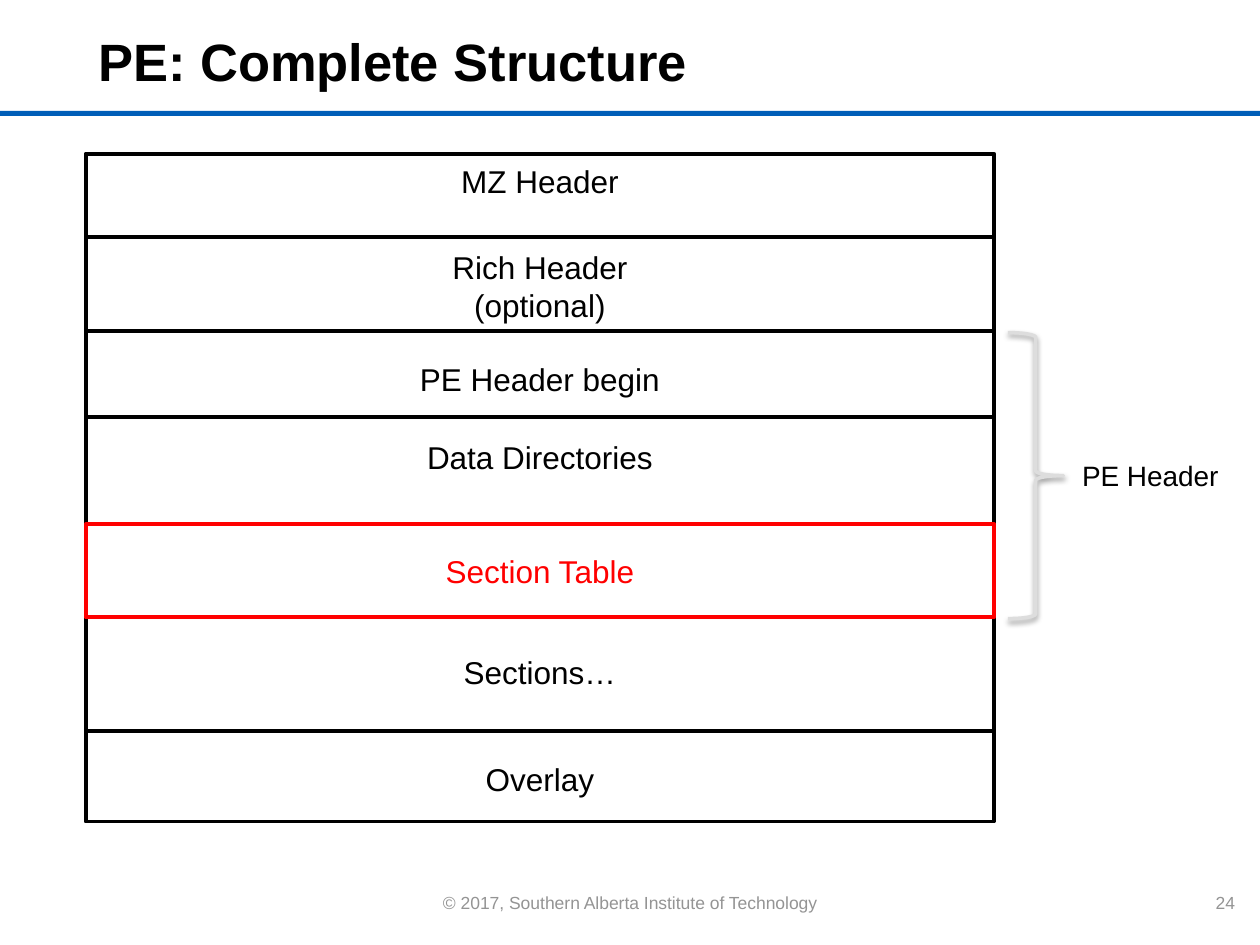
import dataclasses

import lxml.etree
import pptx
import pptx.dml.color
import pptx.enum.shapes
import pptx.enum.text
import pptx.oxml
import pptx.oxml.ns
import pptx.util

RGBColor = pptx.dml.color.RGBColor
Align = pptx.enum.text.PP_ALIGN
Anchor = pptx.enum.text.MSO_ANCHOR
Preset = pptx.enum.shapes.MSO_SHAPE

BLACK = RGBColor(0x00, 0x00, 0x00)
RED = RGBColor(0xFF, 0x00, 0x00)
BLUE = RGBColor(0x00, 0x5E, 0xB8)
GREY = RGBColor(0x94, 0x94, 0x94)
LIGHT_GREY = RGBColor(0xDD, 0xDD, 0xDD)
FONT = "Arial"

# The page is a grid of 1000 columns by 750 rows.
PAGE_WIDTH = pptx.util.Inches(10)
PAGE_HEIGHT = pptx.util.Inches(7.5)
COLUMN = PAGE_WIDTH // 1000
ROW = PAGE_HEIGHT // 750


@dataclasses.dataclass(frozen=True)
class Area:
    """A rectangle in grid columns and rows."""
    left: float
    top: float
    width: float
    height: float

    def lengths(self) -> tuple[int, ...]:
        return tuple(round(count * unit) for count, unit in (
            (self.left, COLUMN), (self.top, ROW),
            (self.width, COLUMN), (self.height, ROW)))


@dataclasses.dataclass(frozen=True)
class Block:
    """One part of the file: its rows, and the row where its label starts."""
    label: str
    top: float
    bottom: float
    label_top: float
    color: RGBColor = BLACK


STACK_LEFT, STACK_WIDTH = 68, 721
BLOCKS = [
    Block("MZ Header", 122, 188, 124),
    Block("Rich Header\n(optional)", 188, 263, 192),
    Block("PE Header begin", 263, 331, 281),
    Block("Data Directories", 331, 416, 343),
    Block("Sections…", 490, 580, 513),
    Block("Overlay", 580, 652, 598),
    Block("Section Table", 416, 490, 433, RED),  # last, so its outline is on top
]


def write(frame, text: str, *, size: float, color: RGBColor = BLACK,
          align=Align.CENTER, bold: bool = False) -> None:
    frame.word_wrap = True
    frame.text = text
    for para in frame.paragraphs:
        para.alignment = align
        para.font.name = FONT
        para.font.size = pptx.util.Pt(size)
        para.font.bold = bold
        para.font.color.rgb = color


def add_text(page, area: Area, text: str, **text_format) -> None:
    box = page.shapes.add_textbox(*area.lengths())
    write(box.text_frame, text, **text_format)
    box.text_frame.auto_size = pptx.enum.text.MSO_AUTO_SIZE.SHAPE_TO_FIT_TEXT


def add_outline(page, preset, area: Area, color: RGBColor, weight: float):
    shape = page.shapes.add_shape(preset, *area.lengths())
    shape.shadow.inherit = False
    shape.fill.background()
    shape.line.color.rgb = color
    shape.line.width = pptx.util.Pt(weight)
    return shape


def add_block(page, block: Block) -> None:
    area = Area(STACK_LEFT, block.top, STACK_WIDTH, block.bottom - block.top)
    add_outline(page, Preset.RECTANGLE, area, block.color, 2.25)
    label_rows = 40 + 31 * block.label.count("\n")
    add_text(page, Area(STACK_LEFT, block.label_top, STACK_WIDTH, label_rows),
             block.label, size=18, color=block.color)


def add_soft_shadow(shape) -> None:
    effects = shape.element.spPr.find(pptx.oxml.ns.qn("a:effectLst"))
    effects.append(pptx.oxml.parse_xml(
        f'<a:outerShdw {pptx.oxml.ns.nsdecls("a")} blurRad="40000" dist="20000"'
        ' dir="5400000" rotWithShape="0"><a:srgbClr val="000000">'
        '<a:alpha val="38000"/></a:srgbClr></a:outerShdw>'))


def add_heading(page) -> None:
    rule = page.shapes.add_shape(Preset.RECTANGLE, *Area(0, 88, 1000, 4).lengths())
    rule.shadow.inherit = False
    rule.fill.solid()
    rule.fill.fore_color.rgb = BLUE
    rule.line.fill.background()

    title = page.shapes.title
    title.left, title.top, title.width, title.height = Area(68, 17, 732, 69).lengths()
    write(title.text_frame, "PE: Complete Structure", size=30,
          align=Align.LEFT, bold=True)
    title.text_frame.vertical_anchor = Anchor.MIDDLE
    title.text_frame.paragraphs[0].line_spacing = 0.9


def add_footer(page) -> None:
    add_text(page, Area(332, 703, 336, 27),
             "© 2017, Southern Alberta Institute of Technology", size=10, color=GREY)
    add_text(page, Area(950, 703, 40, 27), "24", size=10, color=GREY, align=Align.RIGHT)


def main() -> None:
    deck = pptx.Presentation()
    deck.slide_width, deck.slide_height = PAGE_WIDTH, PAGE_HEIGHT
    page = deck.slides.add_slide(deck.slide_layouts.get_by_name("Title Only"))
    add_heading(page)
    add_footer(page)
    for block in BLOCKS:
        add_block(page, block)
    brace = add_outline(page, Preset.RIGHT_BRACE, Area(800, 264, 44, 227), LIGHT_GREY, 2)
    add_soft_shadow(brace)
    add_text(page, Area(835, 359, 156, 37), "PE Header", size=16)
    deck.save("out.pptx")


if __name__ == "__main__":
    main()
